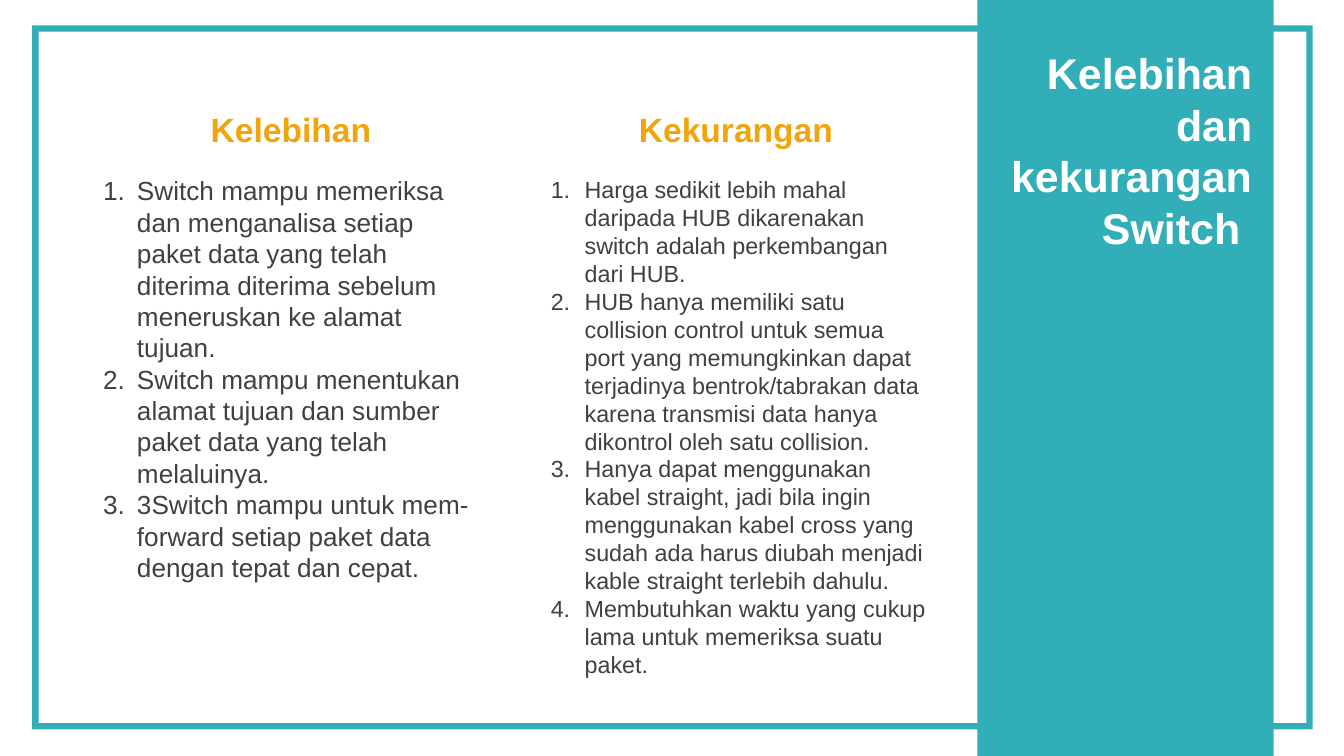
from lxml.etree import SubElement
from pptx import Presentation
from pptx.dml.color import RGBColor
from pptx.enum.shapes import MSO_SHAPE as Preset
from pptx.enum.text import PP_ALIGN as Align
from pptx.oxml.ns import qn
from pptx.util import Cm, Pt

TEAL, ORANGE, GRAY, WHITE = "32AEB8", "F2A40D", "404040", "FFFFFF"
COLUMN_WIDTH = 7.6
STRENGTHS = [
    "Switch mampu memeriksa dan menganalisa setiap paket data yang telah diterima "
    "diterima sebelum meneruskan ke alamat tujuan.",
    "Switch mampu menentukan alamat tujuan dan sumber paket data yang telah melaluinya.",
    "3Switch mampu untuk mem-forward setiap paket data dengan tepat dan cepat.",
]
WEAKNESSES = [
    "Harga sedikit lebih mahal daripada HUB dikarenakan switch adalah perkembangan dari HUB.",
    "HUB hanya memiliki satu collision control untuk semua port yang memungkinkan dapat "
    "terjadinya bentrok/tabrakan data karena transmisi data hanya dikontrol oleh satu collision.",
    "Hanya dapat menggunakan kabel straight, jadi bila ingin menggunakan kabel cross yang "
    "sudah ada harus diubah menjadi kable straight terlebih dahulu.",
    "Membutuhkan waktu yang cukup lama untuk memeriksa suatu paket.",
]


def color(code):
    return RGBColor.from_string(code)


def add_panel(slide, preset, left, top, width, height):
    panel = slide.shapes.add_shape(preset, Cm(left), Cm(top), Cm(width), Cm(height))
    panel.shadow.inherit = False
    panel.fill.solid()
    panel.fill.fore_color.rgb = color(TEAL)
    panel.line.fill.background()
    return panel


def number_paragraph(paragraph):
    properties = paragraph._p.get_or_add_pPr()
    properties.set("marL", str(Cm(0.64)))
    properties.set("indent", str(-Cm(0.64)))
    SubElement(properties, qn("a:buFont"), typeface="+mj-lt")
    SubElement(properties, qn("a:buAutoNum"), type="arabicPeriod")


def add_text(slide, box, texts, size, code, align=Align.LEFT, bold=False, numbered=False):
    frame = slide.shapes.add_textbox(*map(Cm, box)).text_frame
    frame.word_wrap = True
    for index, text in enumerate(texts):
        paragraph = frame.add_paragraph() if index else frame.paragraphs[0]
        paragraph.alignment = align
        paragraph.line_spacing = Pt(size * 1.2)
        if numbered:
            number_paragraph(paragraph)
        run = paragraph.add_run()
        run.text = text
        run.font.name = "Arial"
        run.font.size = Pt(size)
        run.font.bold = bold
        run.font.color.rgb = color(code)


def add_column(slide, heading, heading_left, items, list_left, height, size):
    add_text(slide, (list_left, 3.18, COLUMN_WIDTH, height), items, size, GRAY, numbered=True)
    add_text(slide, (heading_left, 1.93, COLUMN_WIDTH, 1.27), [heading], 18, ORANGE,
             Align.CENTER, bold=True)


def main():
    deck = Presentation()
    deck.slide_width, deck.slide_height = Cm(25.4), Cm(14.29)
    slide = deck.slides.add_slide(deck.slide_layouts[6])

    border = add_panel(slide, Preset.FRAME, 0.61, 0.48, 24.2, 13.31)
    border.adjustments[0] = 0.009
    add_panel(slide, Preset.RECTANGLE, 18.47, 0, 5.6, 14.29)
    add_text(slide, (18.64, 0.76, 5.28, 4.4), ["Kelebihan dan kekurangan Switch "], 23, WHITE,
             Align.RIGHT, bold=True)

    add_column(slide, "Kelebihan", 1.7, STRENGTHS, 1.7, 9.25, 14)
    add_column(slide, "Kekurangan", 10.11, WEAKNESSES, 10.16, 9.88, 12.5)
    deck.save("out.pptx")


if __name__ == "__main__":
    main()
